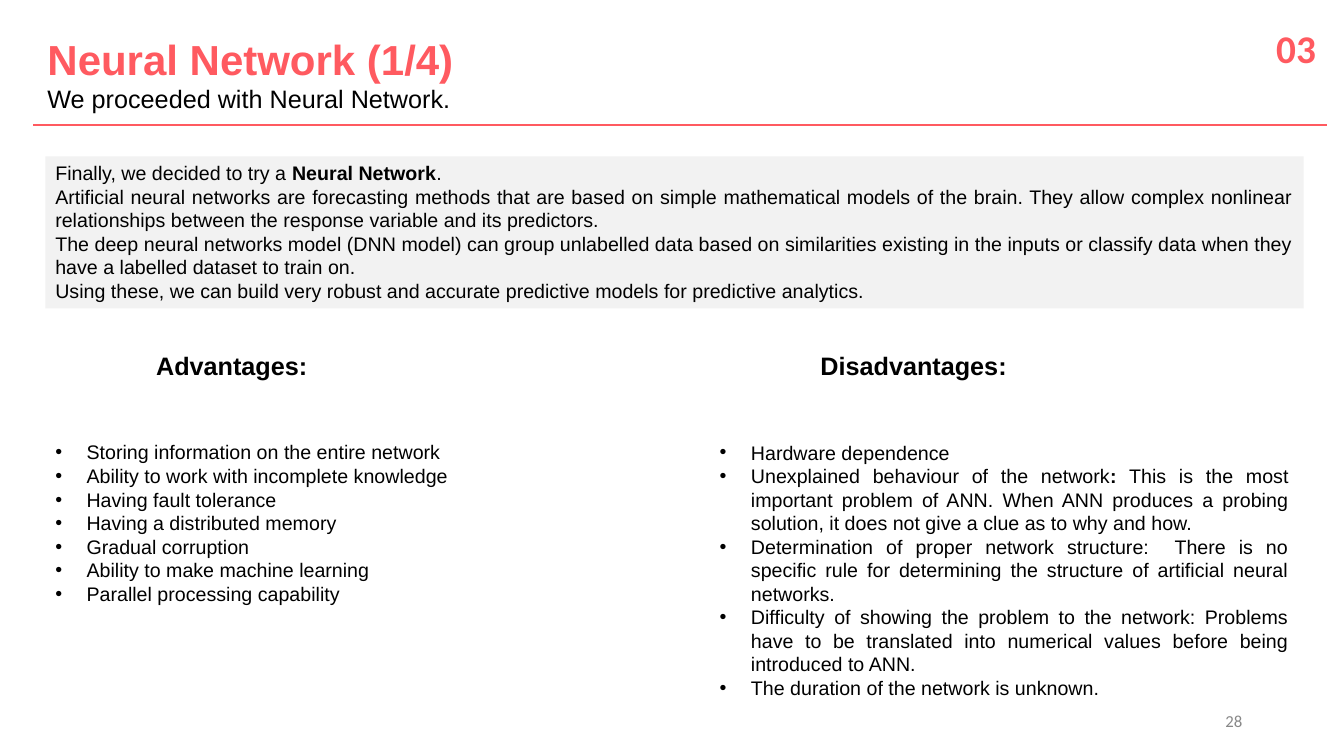
from lxml import etree
from pptx import Presentation
from pptx import util as u
from pptx.dml.color import RGBColor
from pptx.enum import shapes, text
from pptx.oxml.ns import qn

CORAL = RGBColor(0xFF, 0x5A, 0x60)
BLACK = RGBColor(0, 0, 0)
GREY = RGBColor(0x88, 0x88, 0x88)
PALE = RGBColor(0xF2, 0xF2, 0xF2)

LEFT = 3.38
COLUMN_STEP = 49.43
HEADING_INDENT = 7.5

INTRO = [
    [("Finally, we decided to try a ", False), ("Neural Network", True), (".", False)],
    [("Artificial neural networks are forecasting methods that are based on simple "
      "mathematical models of the brain. They allow complex nonlinear relationships "
      "between the response variable and its predictors.", False)],
    [("The deep neural networks model (DNN model) can group unlabelled data based on "
      "similarities existing in the inputs or classify data when they have a labelled "
      "dataset to train on.", False)],
    [("Using these, we can build very robust and accurate predictive models for "
      "predictive analytics.", False)],
]
ADVANTAGES = [[(line, False)] for line in (
    "Storing information on the entire network",
    "Ability to work with incomplete knowledge",
    "Having fault tolerance",
    "Having a distributed memory",
    "Gradual corruption",
    "Ability to make machine learning",
    "Parallel processing capability",
)]
DISADVANTAGES = [
    [("Hardware dependence", False)],
    [("Unexplained behaviour of the network", False), (":", True),
     (" This is the most important problem of ANN. When ANN produces a probing "
      "solution, it does not give a clue as to why and how.", False)],
    [("Determination of proper network structure:  There is no specific rule for "
      "determining the structure of artificial neural networks.", False)],
    [("Difficulty of showing the problem to the network: Problems have to be "
      "translated into numerical values before being introduced to ANN.", False)],
    [("The duration of the network is unknown.", False)],
]


class Deck:
    font = "Arial"
    body_size = 14
    justify = text.PP_ALIGN.JUSTIFY

    def __init__(self):
        self.prs = Presentation()
        self.prs.slide_width = u.Inches(13.33)
        self.prs.slide_height = u.Inches(7.5)
        self.column = self.prs.slide_width / 100
        self.row = self.prs.slide_height / 100
        self.s = self.prs.slides.add_slide(self.prs.slide_layouts[5])

    def grid(self, x, y, w, h):
        return [round(v) for v in (x * self.column, y * self.row,
                                   w * self.column, h * self.row)]

    def run(self, p, words, size, color=BLACK, bold=False, font=None):
        r = p.add_run()
        r.text = words
        r.font.name = font or self.font
        r.font.size = u.Pt(size)
        r.font.bold = bold
        r.font.color.rgb = color

    def bullet(self, p):
        pPr = p._p.get_or_add_pPr()
        indent = u.Inches(0.31)
        pPr.set("marL", str(indent))
        pPr.set("indent", str(-indent))
        etree.SubElement(pPr, qn("a:buFont"), typeface=self.font)
        etree.SubElement(pPr, qn("a:buChar"), char="•")

    def paragraphs(self, tf, lines, align, bullets=False):
        for i, line in enumerate(lines):
            p = tf.add_paragraph() if i else tf.paragraphs[0]
            p.alignment = align
            if bullets:
                self.bullet(p)
            for words, bold in line:
                self.run(p, words, self.body_size, bold=bold)

    def title(self, heading, subtitle, *place):
        sp = self.s.shapes.title
        sp.left, sp.top, sp.width, sp.height = self.grid(*place)
        tf = sp.text_frame
        tf.auto_size = text.MSO_AUTO_SIZE.NONE
        tf.vertical_anchor = text.MSO_ANCHOR.MIDDLE
        p = tf.paragraphs[0]
        p.alignment = text.PP_ALIGN.LEFT
        p.line_spacing = 1.0
        self.run(p, heading, 30, CORAL, True)
        p.add_line_break()
        etree.SubElement(p._p[-1], qn("a:rPr"), sz="3000")
        self.run(p, subtitle, 18)

    def box(self, *place):
        tf = self.s.shapes.add_textbox(*self.grid(*place)).text_frame
        tf.word_wrap = True
        return tf

    def label(self, words, size, *place, color=BLACK, bold=True, font=None,
              align=text.PP_ALIGN.LEFT, anchor=text.MSO_ANCHOR.TOP):
        tf = self.box(*place)
        tf.vertical_anchor = anchor
        p = tf.paragraphs[0]
        p.alignment = align
        self.run(p, words, size, color, bold, font)

    def bullets(self, lines, align, *place):
        self.paragraphs(self.box(*place), lines, align, True)

    def panel(self, lines, *place):
        sp = self.s.shapes.add_shape(shapes.MSO_SHAPE.RECTANGLE, *self.grid(*place))
        sp.shadow.inherit = False
        sp.fill.solid()
        sp.fill.fore_color.rgb = PALE
        sp.line.fill.background()
        tf = sp.text_frame
        tf.word_wrap = True
        tf.vertical_anchor = text.MSO_ANCHOR.TOP
        self.paragraphs(tf, lines, self.justify)

    def rule(self, x1, x2, y):
        left, top, right, _ = self.grid(x1, y, x2, 0)
        ln = self.s.shapes.add_connector(shapes.MSO_CONNECTOR.STRAIGHT,
                                         left, top, right, top)
        ln.line.color.rgb = CORAL
        ln.line.width = u.Pt(1.5)
        etree.SubElement(ln._element.spPr, qn("a:effectLst"))


def main():
    deck = Deck()
    deck.title("Neural Network (1/4)", "We proceeded with Neural Network.",
               2.78, 5.07, 94.9, 9.33)
    deck.rule(2.48, 98.72, 16.53)
    deck.label("03", 28, 94.22, 2.53, 4.5, 7.6, color=CORAL, font="Calibri")
    deck.label("28", 12, 70.67, 92.67, 22.5, 5.33, color=GREY, bold=False,
               font="Calibri", align=text.PP_ALIGN.RIGHT,
               anchor=text.MSO_ANCHOR.MIDDLE)
    deck.panel(INTRO, LEFT, 20.67, 93.62, 20.13)
    columns = [
        ("Advantages:", 13.05, ADVANTAGES, text.PP_ALIGN.LEFT, 23.33),
        ("Disadvantages:", 15.38, DISADVANTAGES, deck.justify, 35.87),
    ]
    for i, (heading, width, lines, align, height) in enumerate(columns):
        x = LEFT + i * COLUMN_STEP
        deck.label(heading, 18, x + HEADING_INDENT, 45.73, width, 5.33)
        deck.bullets(lines, align, x, 57.6, 43.81, height)
    deck.prs.save("out.pptx")


if __name__ == "__main__":
    main()
